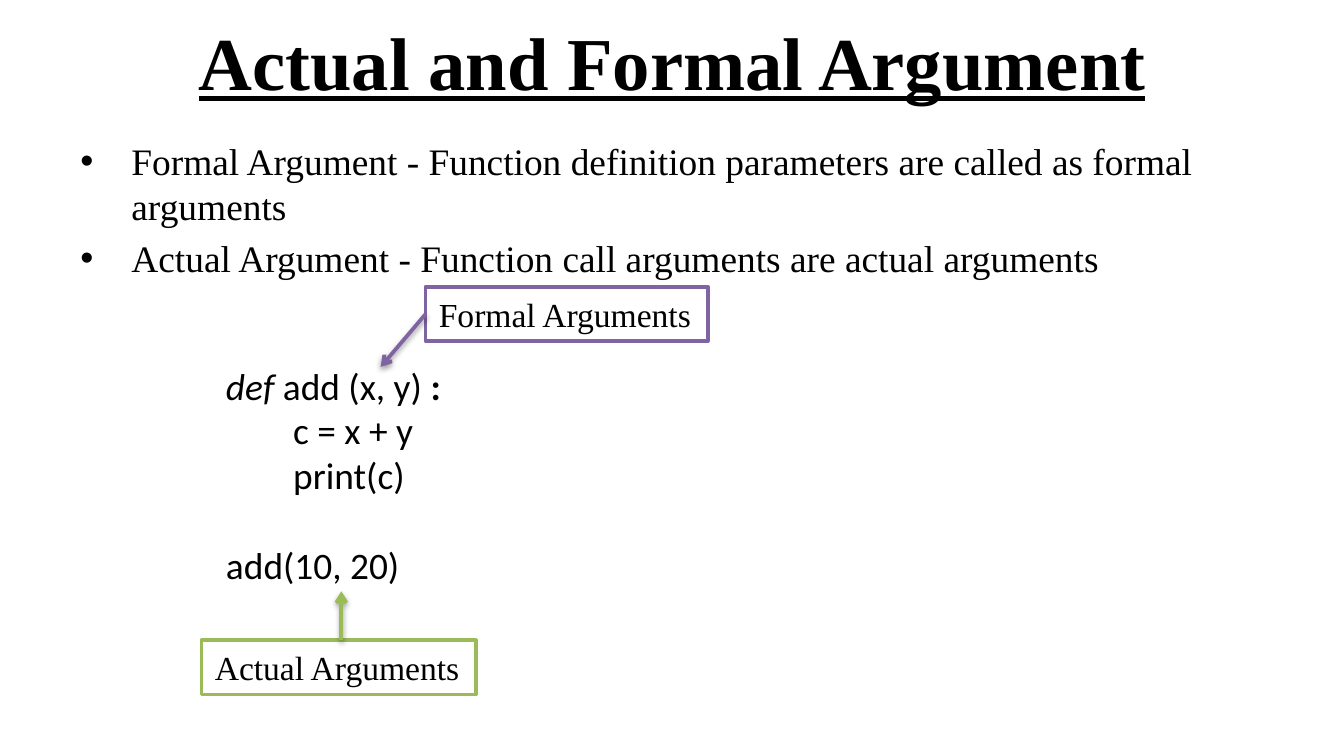
from lxml.etree import SubElement
from pptx import Presentation
from pptx.dml.color import RGBColor
from pptx.enum.shapes import MSO_CONNECTOR, MSO_SHAPE
from pptx.enum.text import MSO_ANCHOR, MSO_AUTO_SIZE, PP_ALIGN
from pptx.oxml.ns import qn
from pptx.util import Inches, Pt

WIDTH = Inches(10)
HEIGHT = WIDTH * 9 // 16
SERIF, SANS = "Times New Roman", "Calibri"
BLACK, WHITE, PURPLE, GREEN = "000000", "FFFFFF", "8064A2", "9BBB59"


def color(hex):
    return RGBColor.from_string(hex)


def grid(col, row):
    """Turn columns and rows, 100 of each on the slide, into lengths."""
    return round(WIDTH * col / 100), round(HEIGHT * row / 100)


def add_run(para, text, size, font=SERIF, **style):
    run = para.add_run()
    run.text = text
    run.font.size = Pt(size)
    run.font.name = font
    run.font.color.rgb = color(BLACK)
    for name, value in style.items():
        setattr(run.font, name, value)


def add_text(slide, col, row, cols, rows):
    box = slide.shapes.add_textbox(*grid(col, row), *grid(cols, rows))
    box.text_frame.word_wrap = True
    return box.text_frame


def indent(para, left, first=0):
    props = para._p.get_or_add_pPr()
    props.set("marL", str(Inches(left)))
    props.set("indent", str(Inches(first)))
    return props


def add_points(frame, points):
    for i, point in enumerate(points):
        para = frame.add_paragraph() if i else frame.paragraphs[0]
        para.space_before = Pt(4)
        props = indent(para, 0.38, -0.38)
        SubElement(props, qn("a:buFont"), typeface="Arial")
        SubElement(props, qn("a:buChar"), char="•")
        add_run(para, point, 20)


def add_code(frame):
    head = frame.paragraphs[0]
    add_run(head, "def", 20, SANS, italic=True)
    add_run(head, " add (x, y) ", 20, SANS)
    add_run(head, ":", 20, SANS, bold=True)
    for line in ("c = x + y", "print(c)"):
        para = frame.add_paragraph()
        indent(para, 0.5)
        add_run(para, line, 20, SANS)
    call = frame.add_paragraph()
    call.space_before = Pt(24)
    add_run(call, "add(10, 20)", 20, SANS)


def add_label(slide, text, hue, col, row, cols):
    box = slide.shapes.add_shape(
        MSO_SHAPE.RECTANGLE, *grid(col, row), *grid(cols, 7.18))
    box.shadow.inherit = False
    box.fill.solid()
    box.fill.fore_color.rgb = color(WHITE)
    box.line.color.rgb = color(hue)
    box.line.width = Pt(2)
    frame = box.text_frame
    frame.word_wrap = False
    frame.auto_size = MSO_AUTO_SIZE.SHAPE_TO_FIT_TEXT
    frame.vertical_anchor = MSO_ANCHOR.TOP
    frame.paragraphs[0].alignment = PP_ALIGN.LEFT
    add_run(frame.paragraphs[0], text, 18)
    return box


def add_arrow(slide, hue, start, end):
    arrow = slide.shapes.add_connector(
        MSO_CONNECTOR.STRAIGHT, *grid(*start), *grid(*end))
    arrow.line.color.rgb = color(hue)
    arrow.line.width = Pt(2)
    SubElement(arrow.line._get_or_add_ln(), qn("a:tailEnd"), type="arrow")
    # Soft shadow straight below the line
    effects = SubElement(arrow._element.spPr, qn("a:effectLst"))
    shadow = SubElement(
        effects, qn("a:outerShdw"), blurRad=str(Pt(3.1)),
        dist=str(Pt(1.6)), dir="5400000", rotWithShape="0")
    shade = SubElement(shadow, qn("a:srgbClr"), val=BLACK)
    SubElement(shade, qn("a:alpha"), val="38000")
    return arrow


def main():
    deck = Presentation()
    deck.slide_width, deck.slide_height = WIDTH, HEIGHT
    slide = deck.slides.add_slide(deck.slide_layouts[6])

    # Title
    title = add_text(slide, 5, -0.36, 90, 16.71)
    title.vertical_anchor = MSO_ANCHOR.MIDDLE
    title.paragraphs[0].alignment = PP_ALIGN.CENTER
    add_run(title.paragraphs[0], "Actual and Formal Argument", 40,
            bold=True, underline=True)

    # Definitions
    add_points(add_text(slide, 5, 17.42, 90, 66), (
        "Formal Argument - Function definition parameters are called"
        " as formal arguments",
        "Actual Argument - Function call arguments are actual arguments",
    ))

    # Code sample
    add_code(add_text(slide, 15.83, 47.11, 30.8, 31.64))

    # Labels and their arrows
    formal = add_label(slide, "Formal Arguments", PURPLE, 31.67, 37.95, 21)
    add_label(slide, "Actual Arguments", GREEN, 15, 84.7, 20.4)
    down = add_arrow(slide, PURPLE, (31.67, 41.54), (28.33, 48.53))
    down.begin_connect(formal, 1)
    add_arrow(slide, GREEN, (25.4, 84.7), (25.4, 78.22))

    deck.save("out.pptx")


if __name__ == "__main__":
    main()
